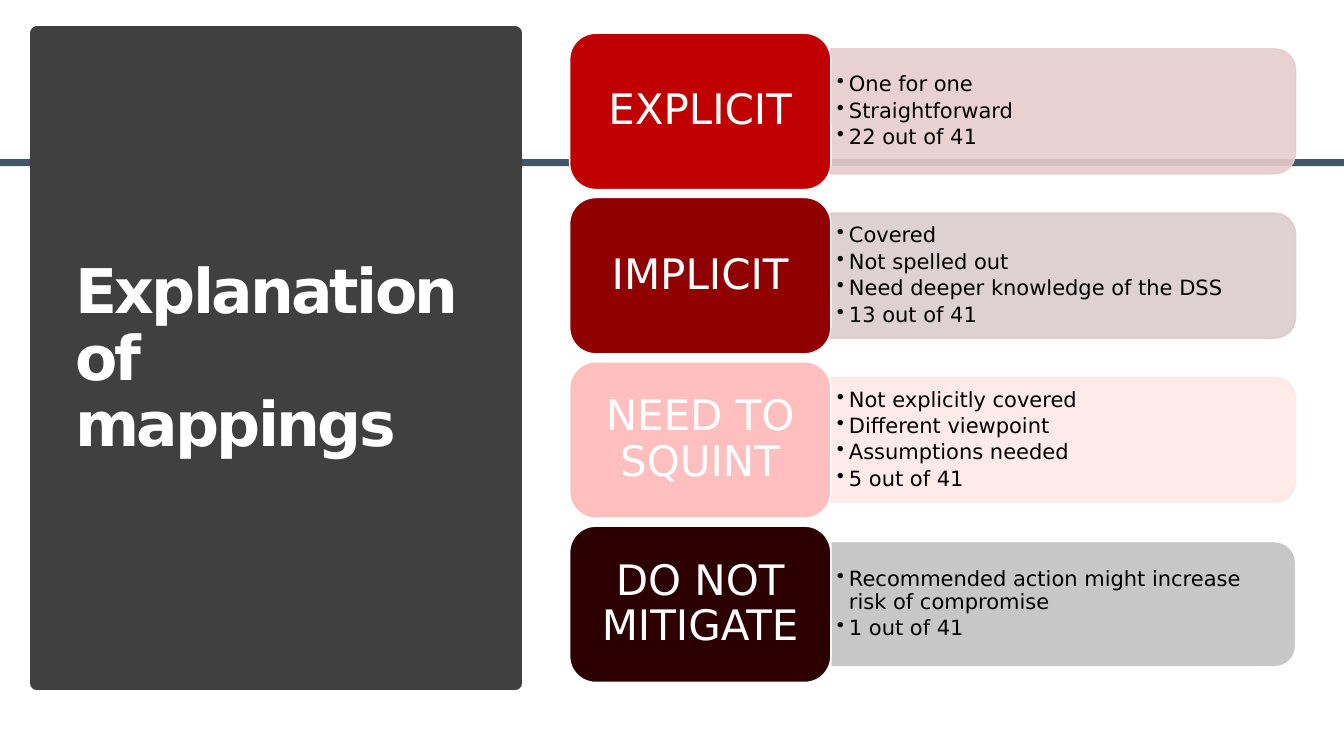
import pptx
import pptx.util
import pptx.dml.color
import pptx.enum.shapes
import pptx.enum.text
import lxml.etree
from dataclasses import dataclass

PX = 9144
SHAPES = pptx.enum.shapes.MSO_SHAPE
ALIGN = pptx.enum.text.PP_ALIGN
MIDDLE = pptx.enum.text.MSO_ANCHOR.MIDDLE


@dataclass(frozen=True)
class Theme:
    font: str = "DejaVu Sans"
    band: str = "44546A"
    panel: str = "404040"
    light: str = "FFFFFF"
    dark: str = "000000"
    title_size: int = 44
    label_size: int = 30
    bullet_size: int = 15
    line_spacing: float = 0.9
    bullet_gap: float = 2.6


THEME = Theme()

MAPPINGS = [
    ("EXPLICIT", "C00000", "E8CCCC", "E8CCCC",
     ["One for one", "Straightforward", "22 out of 41"]),
    ("IMPLICIT", "900000", "DBCCCC", "DBCCCC",
     ["Covered", "Not spelled out", "Need deeper knowledge of the DSS", "13 out of 41"]),
    ("NEED TO SQUINT", "FFBFBF", "FFE8E8", "FFE8E8",
     ["Not explicitly covered", "Different viewpoint", "Assumptions needed", "5 out of 41"]),
    ("DO NOT MITIGATE", "2D0000", "C2C2C2", "FFFFFF",
     ["Recommended action might increase risk of compromise", "1 out of 41"]),
]


def px(*lengths):
    return [pptx.util.Emu(round(n * PX)) for n in lengths]


def rgb(color):
    return pptx.dml.color.RGBColor.from_string(color)


def add_block(s, kind, box, fill, line=None, width=1):
    sp = s.shapes.add_shape(kind, *px(*box))
    sp.shadow.inherit = False
    sp.fill.solid()
    sp.fill.fore_color.rgb = rgb(fill)
    if line:
        sp.line.color.rgb = rgb(line)
        sp.line.width = pptx.util.Pt(width)
    else:
        sp.line.fill.background()
    return sp


def set_alpha(sp, percent):
    for color in sp._element.spPr.iter(pptx.oxml.ns.qn("a:srgbClr")):
        alpha = lxml.etree.SubElement(color, pptx.oxml.ns.qn("a:alpha"))
        alpha.set("val", str(percent * 1000))


def prepare_frame(sp, margin_x, margin_y):
    tf = sp.text_frame
    tf.word_wrap = True
    tf.vertical_anchor = MIDDLE
    tf.margin_left, tf.margin_right = px(margin_x, margin_x)
    tf.margin_top, tf.margin_bottom = px(margin_y, margin_y)
    return tf


def format_paragraph(p, size, color, align=ALIGN.LEFT, bold=False):
    p.alignment = align
    p.line_spacing = THEME.line_spacing
    for r in p.runs:
        r.font.name = THEME.font
        r.font.size = pptx.util.Pt(size)
        r.font.bold = bold
        r.font.color.rgb = rgb(color)


def add_bullet(p, indent):
    pPr = p._p.get_or_add_pPr()
    pPr.set("marL", str(indent * PX))
    pPr.set("indent", str(-indent * PX))
    bullet = lxml.etree.SubElement(pPr, pptx.oxml.ns.qn("a:buChar"))
    bullet.set("char", "•")


def draw_title_panel(s, left, top, width, height):
    add_block(s, SHAPES.RECTANGLE, (left, top, width, height), THEME.panel, THEME.panel, 10)
    sp = s.shapes.add_textbox(*px(left + 28, top + 37, width - 58, height - 70))
    tf = prepare_frame(sp, 10, 5)
    tf.text = "Explanation of mappings"
    p = tf.paragraphs[0]
    format_paragraph(p, THEME.title_size, THEME.light, bold=True)
    p.runs[0].font._element.set("spc", "-200")


def draw_detail(s, left, top, width, height, fill, line, points):
    turned = (left + (width - height) / 2, top + (height - width) / 2, height, width)
    sp = add_block(s, SHAPES.ROUND_2_SAME_RECTANGLE, turned, fill, line)
    sp.rotation = 90
    set_alpha(sp, 90)
    box = s.shapes.add_textbox(*px(left, top + 6, width - 6, height - 12))
    tf = prepare_frame(box, 6, 3)
    tf.text = "\n".join(points)
    for p in tf.paragraphs:
        add_bullet(p, 12)
        p.level = 1
        format_paragraph(p, THEME.bullet_size, THEME.dark)
        p.space_after = pptx.util.Pt(THEME.bullet_gap)


def draw_mapping(s, left, top, width, height, mapping):
    label, fill, tint, edge, points = mapping
    label_width = 259
    detail_height = round(height * 0.8)
    draw_detail(s, left + label_width, top + (height - detail_height) / 2,
                width - label_width, detail_height, tint, edge, points)
    sp = add_block(s, SHAPES.ROUNDED_RECTANGLE, (left, top, label_width, height),
                   fill, THEME.light)
    tf = prepare_frame(sp, 12, 6)
    tf.text = label
    format_paragraph(tf.paragraphs[0], THEME.label_size, THEME.light, ALIGN.CENTER)


def draw_mappings(s, left, top, width, height):
    gap = 8
    row_height = (height - gap * (len(MAPPINGS) - 1)) / len(MAPPINGS)
    for i, mapping in enumerate(MAPPINGS):
        draw_mapping(s, left, top + i * (row_height + gap), width, row_height, mapping)


def main():
    prs = pptx.Presentation()
    prs.slide_width, prs.slide_height = px(1333, 750)
    s = prs.slides.add_slide(prs.slide_layouts[6])
    add_block(s, SHAPES.RECTANGLE, (0, 158, 1333, 7), THEME.band)
    draw_title_panel(s, 37, 33, 474, 645)
    draw_mappings(s, 565, 33, 720, 644)
    prs.save("out.pptx")


if __name__ == "__main__":
    main()
